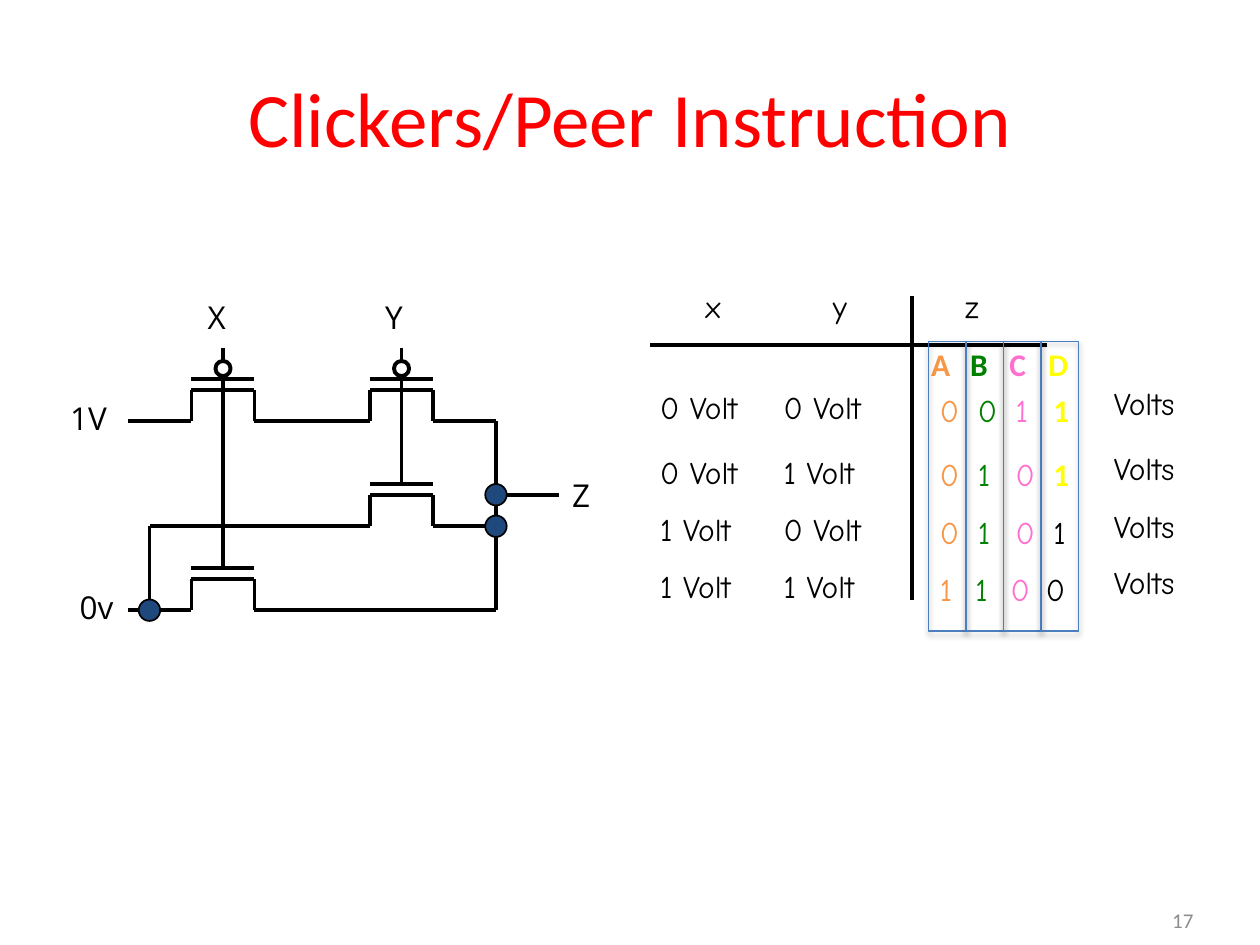
import pptx
import pptx.util
import pptx.dml.color
import pptx.enum.shapes
import pptx.enum.text
import pptx.oxml
import pptx.oxml.ns

RGB = pptx.dml.color.RGBColor
BLACK, WHITE = RGB(0, 0, 0), RGB(255, 255, 255)
RED, GREY = RGB(255, 0, 0), RGB(0x8C, 0x8C, 0x8C)
NAVY, BLUE = RGB(0x1F, 0x49, 0x7D), RGB(0x4B, 0x7E, 0xBC)
ORANGE, GREEN = RGB(0xF7, 0x96, 0x46), RGB(0, 0x80, 0)
PINK, YELLOW = RGB(0xFF, 0x6F, 0xCF), RGB(255, 255, 0)
PLAIN, HAND, SANS = "Calibri", "Comic Neue", "Open Sans"
WIDE, HIGH = 10, 7.5
ALIGN = pptx.enum.text.PP_ALIGN
INCH, PT = pptx.util.Inches, pptx.util.Pt
SHADE = ('<a:effectLst %s><a:outerShdw blurRad="39370" dist="22860" dir="5400000" rotWithShape="0">'
         '<a:srgbClr val="000000"><a:alpha val="35000"/></a:srgbClr></a:outerShdw></a:effectLst>'
         % pptx.oxml.ns.nsdecls("a"))


def share(left, top, wide, high):
    """Turn shares of the slide into a box in inches."""
    return left * WIDE, top * HIGH, wide * WIDE, high * HIGH


def text(slide, box, words, font=HAND, size=18, color=BLACK, bold=False,
         align=ALIGN.LEFT, inset=(0.02, 0.03), lead=21, middle=False, tab=None):
    """Words are a string, or (string, format) pairs set on tab stops."""
    frame = slide.shapes.add_textbox(*map(INCH, box)).text_frame
    frame.word_wrap = True
    frame.margin_left = frame.margin_right = INCH(inset[0])
    frame.margin_top = frame.margin_bottom = INCH(inset[1])
    anchor = pptx.enum.text.MSO_ANCHOR
    frame.vertical_anchor = anchor.MIDDLE if middle else anchor.TOP
    para = frame.paragraphs[0]
    para.alignment = align
    if lead:
        para.line_spacing = PT(lead)
    runs = [(words, {})] if isinstance(words, str) else words
    for spot, (part, form) in enumerate(runs):
        run = para.add_run()
        run.text = ("\t" if spot else "") + part
        run.font.name = form.get("font", font)
        run.font.size = PT(size)
        run.font.bold = form.get("bold", bold)
        run.font.color.rgb = form.get("color", color)
    if tab:
        props = para._p.get_or_add_pPr()
        stops = props.makeelement(pptx.oxml.ns.qn("a:tabLst"), {})
        for step in range(1, len(runs)):
            stop = stops.makeelement(pptx.oxml.ns.qn("a:tab"),
                                     {"pos": str(INCH(tab * step)), "algn": "l"})
            stops.append(stop)
        props.append(stops)


def wire(slide, points, width=2.25):
    """Join the points with straight lines."""
    for start, end in zip(points, points[1:]):
        kind = pptx.enum.shapes.MSO_CONNECTOR.STRAIGHT
        line = slide.shapes.add_connector(kind, *map(INCH, start + end))
        line.line.color.rgb = BLACK
        line.line.width = PT(width)
        props = line._element.spPr
        props.append(props.makeelement(pptx.oxml.ns.qn("a:effectLst"), {}))


def shape(slide, kind, box, fill, color, width):
    item = slide.shapes.add_shape(kind, *map(INCH, box))
    item.shadow.inherit = False
    if fill is None:
        item.fill.background()
    else:
        item.fill.solid()
        item.fill.fore_color.rgb = fill
    item.line.color.rgb = color
    item.line.width = PT(width)
    return item


def circuit(slide, box):
    """Four transistors on a grid 41 columns wide and 25 rows high."""
    left, top, wide, high = box

    def at(col, row):
        return left + col * wide / 41, top + row * high / 25

    def path_of(*spots):
        wire(slide, [at(*spot) for spot in spots])

    def dot(col, row, size, fill, width):
        x, y = at(col, row)
        shape(slide, pptx.enum.shapes.MSO_SHAPE.OVAL,
              (x - size / 2, y - size / 2, size, size), fill, BLACK, width)

    def gate(col, base, bubble):
        path_of((col, base), (col + 6, base), (col + 6, base - 3),
                (col + 12, base - 3), (col + 12, base), (col + 18, base))
        path_of((col + 6, base - 4), (col + 12, base - 4))
        path_of((col + 9, base - 4), (col + 9, base - 7))
        if bubble:
            dot(col + 9, base - 5.02, 0.12, WHITE, 2.25)

    # Wires between the gates
    path_of((35, 7), (35, 25), (17, 25))
    path_of((35, 14), (41, 14))
    path_of((17, 17), (2, 17), (2, 25))
    path_of((9, 0), (9, 19))
    path_of((26, 0), (26, 11))
    # Gates
    for col, base, bubble in ((0, 7, True), (17, 7, True),
                              (17, 17, False), (0, 25, False)):
        gate(col, base, bubble)
    # Junctions
    for col, row in ((2, 25), (35, 17), (35, 14)):
        dot(col, row, 0.17, NAVY, 1)
    # Labels
    for name, col, row in (("X", 7.3, -5), ("Y", 24.2, -5), ("1V", -5.8, 4.6),
                           ("0v", -4.9, 22.6), ("Z", 42, 12)):
        text(slide, at(col, row) + (0.4, 0.45), name, font=SANS)


def truth(slide, box):
    """Truth table on a grid 46 columns wide and 28 rows high."""
    left, top, wide, high = box
    rows = (8, 13.1, 17.7, 22.2)

    def at(col, row):
        return left + col * wide / 46, top + row * high / 28

    # Rules and heads
    wire(slide, [at(0, 4.8), at(31.5, 4.8)], width=2)
    wire(slide, [at(20.8, 0.9), at(20.8, 25)], width=2)
    for name, col in (("x", 4.2), ("y", 14.3), ("z", 24.8)):
        text(slide, at(col, 0) + (0.4, 0.45), name)
    # Inputs and unit
    for col, lift, cells in ((0.6, 0, ("0 Volt", "0 Volt", "1 Volt", "1 Volt")),
                             (10.4, 0, ("0 Volt", "1 Volt", "0 Volt", "1 Volt")),
                             (36.6, -0.3, ("Volts",) * 4)):
        for row, cell in zip(rows, cells):
            text(slide, at(col, row + lift) + (0.97, 0.45), cell)
    # Answers
    tints = (ORANGE, GREEN, PINK, YELLOW)
    text(slide, at(22.1, 4.6) + (1.15, 0.59),
         [(mark, {"color": tint}) for mark, tint in zip("ABCD", tints)],
         font=PLAIN, bold=True, tab=0.31)
    for spot, (row, bits) in enumerate(zip(rows, ("0011", "0101", "0101", "1100"))):
        forms = [{"color": tint} for tint in tints]
        forms[3] = ({"color": YELLOW, "font": PLAIN, "bold": True} if spot < 2
                    else {"color": BLACK})
        text(slide, at(22.8, row + 0.2) + (1.15, 0.45), list(zip(bits, forms)),
             tab=0.28 if spot == 3 else 0.3)
    # Answer frames
    for spot in range(4):
        frame = shape(slide, pptx.enum.shapes.MSO_SHAPE.RECTANGLE,
                      at(22.1 + 2.97 * spot, 4.5) + (0.3, 2.3), None, BLUE, 0.75)
        props = frame._element.spPr
        props.remove(props.find(pptx.oxml.ns.qn("a:effectLst")))
        props.append(pptx.oxml.parse_xml(SHADE))


def heading(slide, box):
    text(slide, box, "Clickers/Peer Instruction", font=PLAIN, size=44, color=RED,
         align=ALIGN.CENTER, inset=(0.1, 0.05), lead=None, middle=True)


def footer(slide, box):
    text(slide, box, "17", font=PLAIN, size=12, color=GREY,
         align=ALIGN.RIGHT, inset=(0.1, 0.05), lead=None, middle=True)


deck = pptx.Presentation()
deck.slide_width, deck.slide_height = INCH(WIDE), INCH(HIGH)
page = deck.slides.add_slide(deck.slide_layouts[6])
heading(page, share(0.05, 0.04, 0.9, 1 / 6))
circuit(page, (1.02, 2.76, 41 / 12, 25 / 12))
truth(page, (5.16, 2.26, 4.6, 2.8))
footer(page, (7.24, 7.1, 2.33, 0.4))
deck.save("out.pptx")
